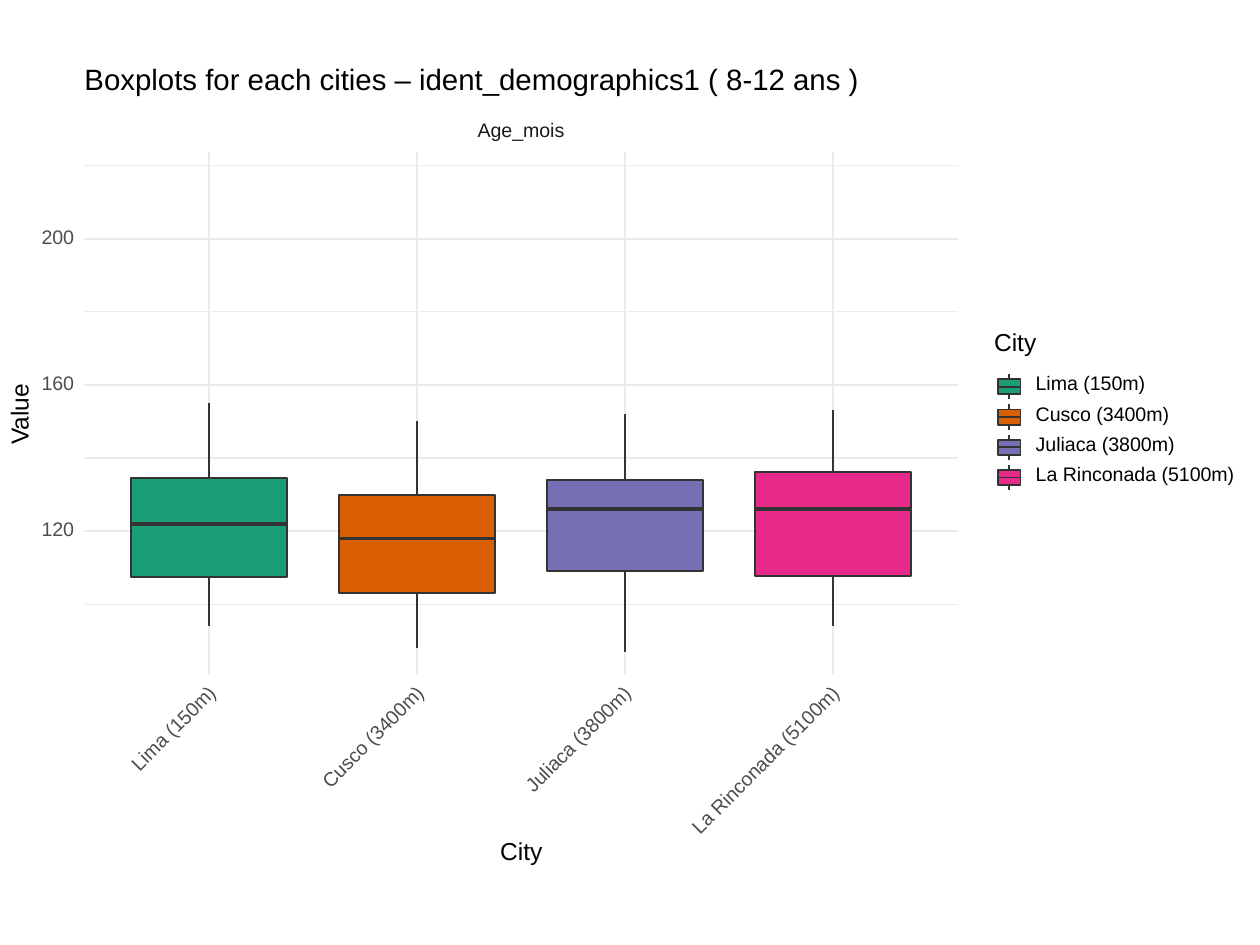
from dataclasses import dataclass
from math import cos, pi

from pptx import Presentation
from pptx.dml.color import RGBColor
from pptx.enum.shapes import MSO_CONNECTOR, MSO_SHAPE
from pptx.enum.text import MSO_ANCHOR
from pptx.oxml.xmlchemy import OxmlElement
from pptx.util import Inches, Pt

WHITE = RGBColor(0xFF, 0xFF, 0xFF)
BLACK = RGBColor(0x00, 0x00, 0x00)
GRID = RGBColor(0xEB, 0xEB, 0xEB)
OUTLINE = RGBColor(0x33, 0x33, 0x33)
STRIP_TEXT = RGBColor(0x1A, 0x1A, 0x1A)
TICK_TEXT = RGBColor(0x4D, 0x4D, 0x4D)
TEAL = RGBColor(0x1B, 0x9E, 0x77)
ORANGE = RGBColor(0xD9, 0x5F, 0x02)
PURPLE = RGBColor(0x75, 0x70, 0xB3)
PINK = RGBColor(0xE7, 0x29, 0x8A)

PANEL_LEFT, PANEL_RIGHT = 0.67, 7.6
PANEL_TOP, PANEL_BOTTOM = 1.21, 5.36
FIRST_CITY_X, CITY_STEP = 1.66, 1.65
BOX_WIDTH = 1.24
KEY_LEFT, KEY_WIDTH, KEY_HEIGHT = 7.92, 0.18, 0.12
FIRST_KEY_Y, KEY_STEP, KEY_REACH = 3.07, 0.24, 0.1
CITY_HEADING_WIDTH = 0.36
THIN, MEDIUM, THICK = 0.68, 1.07, 2.13
GRID_MAJOR = 1.36
SMALL, AXIS, TITLE = 11.2, 14, 16.8


@dataclass(frozen=True)
class City:
    name: str
    color: RGBColor
    label_width: float
    low: float
    q1: float
    median: float
    q3: float
    high: float


CITIES = [
    City("Lima (150m)", TEAL, 0.87, 94, 107.5, 122, 134.5, 155),
    City("Cusco (3400m)", ORANGE, 1.06, 88, 103, 118, 130, 150),
    City("Juliaca (3800m)", PURPLE, 1.11, 87, 109, 126, 134, 152),
    City("La Rinconada (5100m)", PINK, 1.58, 94, 107.75, 126, 136.25, 153),
]


def value_y(value: float) -> float:
    return 4.215 - (value - 120) * 0.029


def draw_line(shapes, x1: float, y1: float, x2: float, y2: float,
              color: RGBColor, weight: float) -> None:
    line = shapes.add_connector(MSO_CONNECTOR.STRAIGHT, Inches(x1), Inches(y1),
                                Inches(x2), Inches(y2))
    line.line.color.rgb = color
    line.line.width = Pt(weight)
    line._element.spPr.append(OxmlElement("a:effectLst"))


def draw_rect(shapes, left: float, top: float, width: float, height: float,
              fill: RGBColor, outline: RGBColor, weight: float) -> None:
    rect = shapes.add_shape(MSO_SHAPE.RECTANGLE, Inches(left), Inches(top),
                            Inches(width), Inches(height))
    rect.shadow.inherit = False
    rect.fill.solid()
    rect.fill.fore_color.rgb = fill
    rect.line.color.rgb = outline
    rect.line.width = Pt(weight)


def draw_text(shapes, text: str, left: float, top: float, width: float, height: float,
              size: float, color: RGBColor, rotation: float = 0) -> None:
    label = shapes.add_textbox(Inches(left), Inches(top), Inches(width), Inches(height))
    label.rotation = rotation
    frame = label.text_frame
    frame.margin_left = frame.margin_right = frame.margin_top = frame.margin_bottom = 0
    frame.vertical_anchor = MSO_ANCHOR.MIDDLE
    frame.word_wrap = False
    frame.text = text
    paragraph = frame.paragraphs[0]
    paragraph.line_spacing = Pt(size)
    font = paragraph.runs[0].font
    font.name = "Arial"
    font.size = Pt(size)
    font.color.rgb = color


def draw_box(shapes, left: float, width: float, high: float, q3: float, median: float,
             q1: float, low: float, fill: RGBColor, median_weight: float) -> None:
    center = left + width / 2
    draw_line(shapes, center, q3, center, high, OUTLINE, MEDIUM)
    draw_line(shapes, center, q1, center, low, OUTLINE, MEDIUM)
    draw_rect(shapes, left, q3, width, q1 - q3, fill, OUTLINE, MEDIUM)
    draw_line(shapes, left, median, left + width, median, OUTLINE, median_weight)


def draw_grid(shapes, city_xs: list[float]) -> None:
    for values, weight in (((100, 140, 180, 220), THIN), ((120, 160, 200), GRID_MAJOR)):
        for value in values:
            y = value_y(value)
            draw_line(shapes, PANEL_LEFT, y, PANEL_RIGHT, y, GRID, weight)
    for x in city_xs:
        draw_line(shapes, x, PANEL_BOTTOM, x, PANEL_TOP, GRID, GRID_MAJOR)


def draw_city_label(shapes, city: City, x: float) -> None:
    reach = city.label_width / 2 * cos(pi / 4)
    center_x, center_y = x + 0.03 - reach, 5.48 + reach
    draw_text(shapes, city.name, center_x - city.label_width / 2, center_y - 0.075,
              city.label_width, 0.15, SMALL, TICK_TEXT, 315)


def draw_legend_entry(shapes, city: City, y: float) -> None:
    half = KEY_HEIGHT / 2
    draw_box(shapes, KEY_LEFT, KEY_WIDTH, y - KEY_REACH, y - half, y, y + half,
             y + KEY_REACH, city.color, MEDIUM)
    draw_text(shapes, city.name, 8.22, y - 0.09, city.label_width, 0.15, SMALL, BLACK)


def main() -> None:
    deck = Presentation()
    deck.slide_width, deck.slide_height = Inches(10), Inches(7.5)
    shapes = deck.slides.add_slide(deck.slide_layouts[6]).shapes
    city_xs = [FIRST_CITY_X + CITY_STEP * i for i in range(len(CITIES))]

    draw_rect(shapes, 0, 0.5, 10, 6.5, WHITE, WHITE, 0.75)
    draw_grid(shapes, city_xs)
    for city, x in zip(CITIES, city_xs):
        levels = (city.high, city.q3, city.median, city.q1, city.low)
        draw_box(shapes, x - BOX_WIDTH / 2, BOX_WIDTH, *map(value_y, levels),
                 city.color, THICK)

    draw_text(shapes, "Age_mois", 3.79, 0.97, 0.69, 0.15, SMALL, STRIP_TEXT)
    for city, x in zip(CITIES, city_xs):
        draw_city_label(shapes, city, x)
    for value in (120, 160, 200):
        draw_text(shapes, str(value), 0.33, value_y(value) - 0.055, 0.26, 0.11,
                  SMALL, TICK_TEXT)
    draw_text(shapes, "Value", -0.08, 3.21, 0.5, 0.14, AXIS, BLACK, 270)

    for left, top in ((3.97, 6.68), (7.89, 2.64)):
        draw_text(shapes, "City", left, top, CITY_HEADING_WIDTH, 0.18, AXIS, BLACK)
    for i, city in enumerate(CITIES):
        draw_legend_entry(shapes, city, FIRST_KEY_Y + KEY_STEP * i)
    draw_text(shapes, "Boxplots for each cities – ident_demographics1 ( 8-12 ans )",
              0.67, 0.54, 6.15, 0.22, TITLE, BLACK)
    deck.save("out.pptx")


if __name__ == "__main__":
    main()
